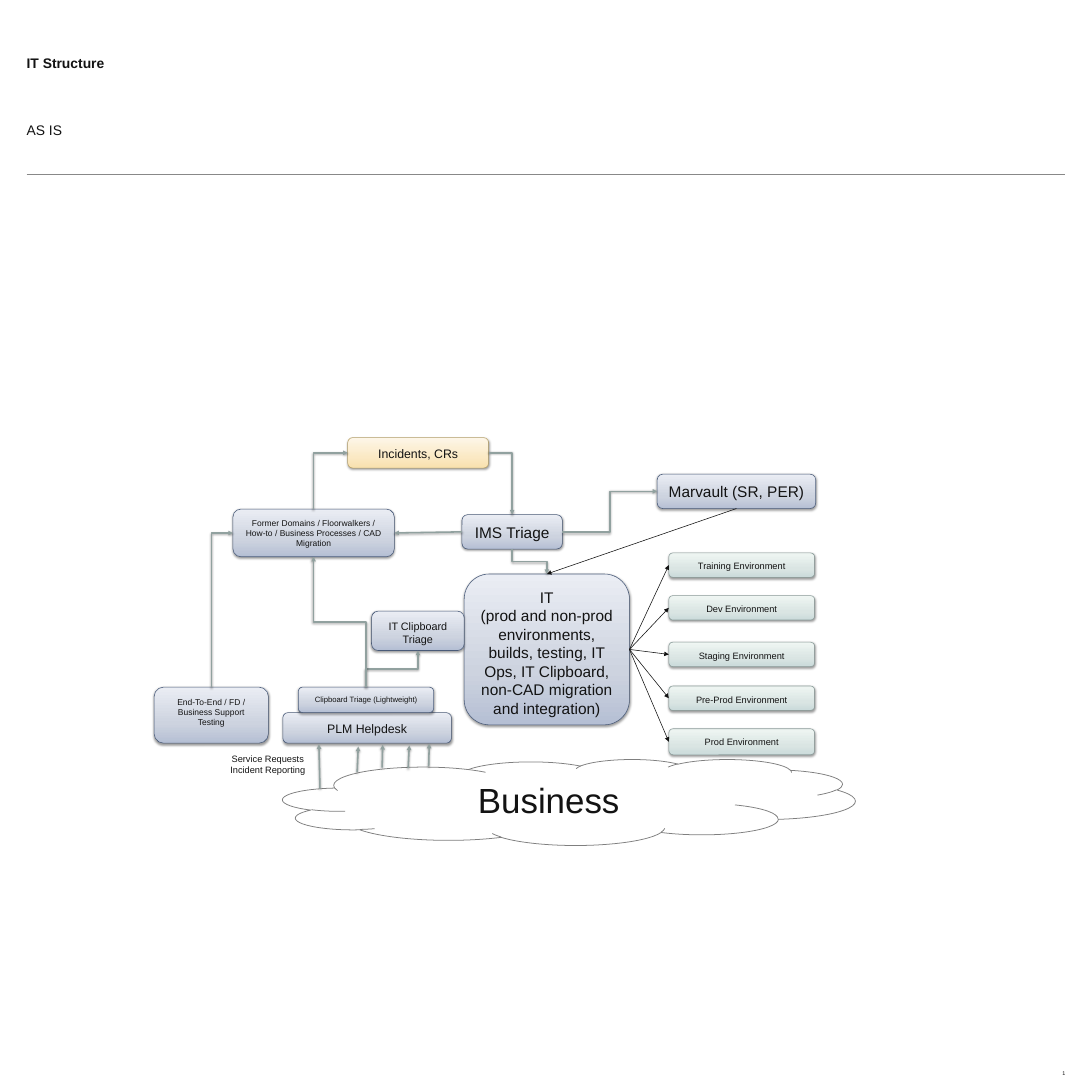
from dataclasses import dataclass

from pptx import Presentation
from pptx.dml.color import RGBColor
from pptx.enum.shapes import MSO_CONNECTOR as Link, MSO_SHAPE as Preset
from pptx.enum.text import MSO_ANCHOR as Anchor, MSO_AUTO_SIZE as AutoSize, PP_ALIGN as Align
from pptx.oxml import parse_xml
from pptx.oxml.ns import nsdecls
from pptx.util import Inches, Pt

TOP, LEFT, BOTTOM, RIGHT = range(4)


@dataclass(frozen=True)
class Theme:
    """Hold the colours and type sizes of the slide."""
    font: str = "Arial"
    ink: str = "131313"
    rule: str = "888888"
    flow: str = "91A19F"
    cloud: str = "7F7F7F"
    team: tuple = ("B5BFD4", "CDD3DF", "EAEDF4", "4A5B78")
    environment: tuple = ("CBDBDB", "DAE5E3", "EFF6F3", "8C9D9B")
    incident: tuple = ("F8E1AE", "FBE9C4", "FDF6E8", "B7A169")
    heading: float = 18
    business: float = 45.3
    large: float = 20
    medium: float = 16
    normal: float = 14
    label: float = 12
    small: float = 11
    tiny: float = 10
    number: float = 7


THEME = Theme()


def write(frame, text, size=THEME.label, bold=False, align=Align.CENTER, anchor=Anchor.TOP, inset=0):
    """Fill a text frame with one paragraph per line of text."""
    frame.word_wrap = True
    frame.auto_size = AutoSize.NONE
    frame.vertical_anchor = anchor
    frame.margin_left = frame.margin_right = Inches(inset)
    frame.margin_top = frame.margin_bottom = Inches(inset)
    frame.text = text
    for para in frame.paragraphs:
        para.alignment = align
        for span in para.runs:
            span.font.name = THEME.font
            span.font.size = Pt(size)
            span.font.bold = bold
            span.font.color.rgb = RGBColor.from_string(THEME.ink)


def add_label(page, place, text, **style):
    """Add a text box and return it."""
    label = page.shapes.add_textbox(*map(Inches, place))
    write(label.text_frame, text, **style)
    return label


def paint_line(line, colour, width):
    """Set the colour and width of a line."""
    line.color.rgb = RGBColor.from_string(colour)
    line.width = Pt(width)


def soft_shadow():
    """Return an effect list with a soft shadow below."""
    return parse_xml(
        f'<a:effectLst {nsdecls("a")}><a:outerShdw blurRad="{Pt(3.1)}" dist="{Pt(1.6)}" dir="5400000" '
        'rotWithShape="0"><a:srgbClr val="000000"><a:alpha val="38000"/></a:srgbClr>'
        '</a:outerShdw></a:effectLst>')


def add_box(page, place, text, size, palette=THEME.team):
    """Add a rounded box with a gradient and a shadow."""
    box = page.shapes.add_shape(Preset.ROUNDED_RECTANGLE, *map(Inches, place))
    *colours, edge = palette
    stops = "".join(f'<a:gs pos="{position}"><a:srgbClr val="{colour}"/></a:gs>'
                    for position, colour in zip((0, 35000, 100000), colours))
    properties = box._element.spPr
    properties.append(parse_xml(
        f'<a:gradFill {nsdecls("a")} rotWithShape="1"><a:gsLst>{stops}</a:gsLst>'
        '<a:lin ang="16200000" scaled="0"/></a:gradFill>'))
    paint_line(box.line, edge, 0.75)
    properties.append(soft_shadow())
    write(box.text_frame, text, size=size, inset=0.12)
    return box


def add_cloud(page, place, text):
    """Add an outlined cloud with large text."""
    cloud = page.shapes.add_shape(Preset.CLOUD, *map(Inches, place))
    cloud.shadow.inherit = False
    cloud.fill.background()
    paint_line(cloud.line, THEME.cloud, 1)
    write(cloud.text_frame, text, size=THEME.business, inset=0.12)


def add_line(page, points=(0, 0, 0, 0), kind=Link.STRAIGHT, colour=THEME.flow, width=2, arrow=True, shadow=True):
    """Add a line, by default a grey arrow with a shadow."""
    line = page.shapes.add_connector(kind, *map(Inches, points))
    paint_line(line.line, colour, width)
    if arrow:
        line.line._get_or_add_ln().append(parse_xml(f'<a:tailEnd {nsdecls("a")} type="triangle"/>'))
    effects = soft_shadow() if shadow else parse_xml(f'<a:effectLst {nsdecls("a")}/>')
    line._element.spPr.append(effects)
    return line


def connect(page, source, start, target, end, **style):
    """Join two boxes at the given sides."""
    line = add_line(page, **style)
    line.begin_connect(source, start)
    line.end_connect(target, end)
    return line


def connect_bent(page, source, start, target, end):
    """Join two boxes with one bend, or two when the sides face each other."""
    line = connect(page, source, start, target, end, kind=Link.ELBOW)
    properties = line._element.spPr
    if start % 2 != end % 2:
        properties.prstGeom.set("prst", "bentConnector2")
    if start in (TOP, BOTTOM):
        across, down = line.end_x - line.begin_x, line.end_y - line.begin_y
        middle_x, middle_y = (line.begin_x + line.end_x) // 2, (line.begin_y + line.end_y) // 2
        line.width, line.height = abs(down), abs(across)
        line.left, line.top = middle_x - line.width // 2, middle_y - line.height // 2
        frame = properties.xfrm
        frame.set("rot", str((270 if across > 0 else 90) * 60000))
        frame.set("flipH", str(int((across > 0) == (down > 0))))
        frame.set("flipV", "0")


def add_header(page):
    """Add the title, subtitle, rule and slide number."""
    title = page.shapes.title
    title.left, title.top, title.width, title.height = map(Inches, (0.48, 0.54, 14.27, 1.19))
    heading = dict(size=THEME.heading, align=Align.LEFT, anchor=Anchor.MIDDLE)
    write(title.text_frame, "IT Structure", bold=True, **heading)
    add_label(page, (0.48, 1.8, 14.27, 1.09), "AS IS", **heading)
    add_line(page, (0.48, 3.14, 19.2, 3.14), colour=THEME.rule, width=0.75, arrow=False, shadow=False)
    add_label(page, (17.65, 17.9, 1.56, 1.52), "1", size=THEME.number, align=Align.RIGHT, anchor=Anchor.BOTTOM)


def main():
    """Build the slide and save it."""
    deck = Presentation()
    deck.slide_width = deck.slide_height = Inches(19.69)
    page = deck.slides.add_slide(deck.slide_layouts[5])
    add_header(page)

    domains = add_box(page, (4.2, 9.18, 2.91, 0.86),
                      "Former Domains / Floorwalkers / How-to / Business Processes / CAD Migration", THEME.small)
    it = add_box(page, (8.37, 10.35, 2.98, 2.72),
                 "IT\n(prod and non-prod environments, builds, testing, IT Ops, IT Clipboard, "
                 "non-CAD migration and integration)", THEME.large)
    add_box(page, (5.1, 12.85, 3.04, 0.55), "PLM Helpdesk", THEME.medium)
    add_cloud(page, (5.1, 13.69, 10.32, 1.55), "Business")
    add_label(page, (3.93, 13.58, 1.8, 0.47), "Service Requests\nIncident Reporting")
    incidents = add_box(page, (6.27, 7.89, 2.54, 0.55), "Incidents, CRs", THEME.medium, THEME.incident)
    triage = add_box(page, (8.33, 9.28, 1.81, 0.62), "IMS Triage", THEME.large)
    vendor = add_box(page, (11.85, 8.55, 2.86, 0.62), "Marvault (SR, PER)", THEME.large)
    testing = add_box(page, (2.78, 12.39, 2.06, 1.01), "End-To-End / FD / Business Support Testing", THEME.small)
    lightweight = add_box(page, (5.38, 12.39, 2.44, 0.46), "Clipboard Triage (Lightweight)", THEME.tiny)
    clipboard = add_box(page, (6.7, 11.02, 1.67, 0.71), "IT Clipboard Triage", THEME.normal)

    thin = dict(colour=THEME.ink, width=0.75, shadow=False)
    for name, top, height in (("Training", 9.97, 0.44), ("Dev", 10.74, 0.44), ("Staging", 11.58, 0.44),
                              ("Pre-Prod", 12.37, 0.44), ("Prod", 13.14, 0.47)):
        environment = add_box(page, (12.06, top, 2.63, height), f"{name} Environment",
                              THEME.label, THEME.environment)
        connect(page, it, RIGHT, environment, LEFT, **thin)
    connect(page, vendor, BOTTOM, it, TOP, **thin)
    connect(page, triage, LEFT, domains, RIGHT)

    for route in ((domains, TOP, incidents, LEFT), (testing, TOP, domains, LEFT),
                  (incidents, RIGHT, triage, TOP), (lightweight, TOP, clipboard, BOTTOM),
                  (lightweight, TOP, domains, BOTTOM), (triage, BOTTOM, it, TOP),
                  (triage, RIGHT, vendor, LEFT)):
        connect_bent(page, *route)

    for request in ((5.77, 14.22, 5.75, 13.42), (6.44, 13.92, 6.46, 13.46), (6.89, 13.84, 6.9, 13.43),
                    (7.36, 13.85, 7.38, 13.44), (7.73, 13.82, 7.74, 13.41)):
        add_line(page, request)
    deck.save("out.pptx")


if __name__ == "__main__":
    main()
